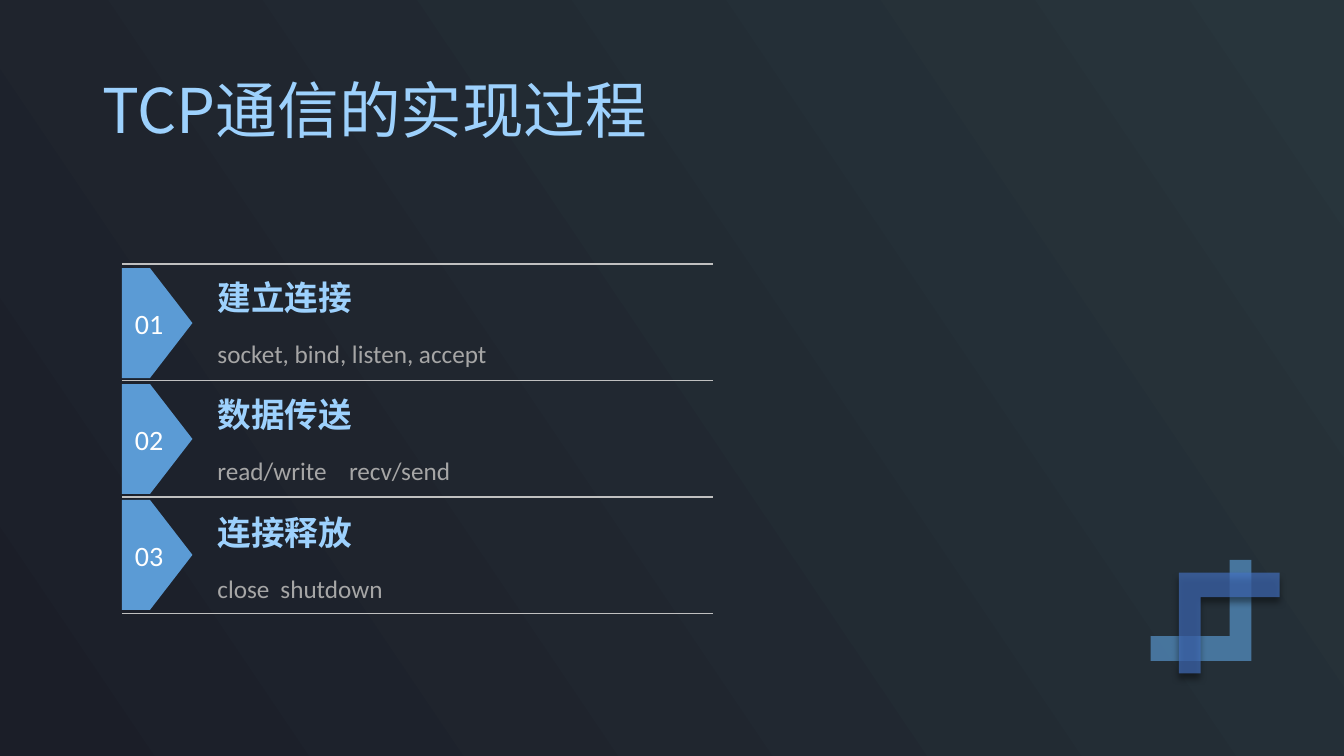
from lxml import etree
from pptx import Presentation
from pptx import util as u
from pptx.dml.color import RGBColor
from pptx.enum import shapes, text
from pptx.oxml.ns import qn

COLORS = {
    "night": "1B1E28", "slate": "28353C", "sky": "9DD1FD", "blue": "5B9BD5",
    "indigo": "4472C4", "rule": "C0C0C0", "grey": "A6A6A6",
    "white": "FFFFFF", "black": "000000",
}
CJK, LATIN = "Noto Sans CJK SC", "Calibri"

# number, heading, functions, tab stop between functions
STEPS = [
    ("01", "建立连接", "socket, bind, listen, accept", None),
    ("02", "数据传送", "read/write\trecv/send", 94),
    ("03", "连接释放", "close\tshutdown", 45),
]


def rgb(name):
    return RGBColor.from_string(COLORS[name])


def add_xml(parent, tag, **attributes):
    return etree.SubElement(parent, qn(tag), {k: str(v) for k, v in attributes.items()})


def write(shape, content, size, color, font=LATIN, bold=False, align=None,
          insets=(0, 0, 0, 0), spacing=None, tab=None):
    frame = shape.text_frame
    frame.word_wrap = True
    frame.vertical_anchor = text.MSO_ANCHOR.MIDDLE
    (frame.margin_left, frame.margin_top,
     frame.margin_right, frame.margin_bottom) = [u.Pt(inset) for inset in insets]
    paragraph = frame.paragraphs[0]
    paragraph.alignment = align
    paragraph.line_spacing = spacing
    if tab:
        stops = add_xml(paragraph._p.get_or_add_pPr(), "a:tabLst")
        add_xml(stops, "a:tab", pos=u.Pt(tab), algn="l")
    run = paragraph.add_run()
    run.text = content
    run.font.size = u.Pt(size)
    run.font.bold = bold
    run.font.name = font
    run.font.color.rgb = rgb(color)
    add_xml(run._r.get_or_add_rPr(), "a:ea", typeface=font)


class Deck:
    """Holds the presentation, its style and the current slide."""

    def __init__(self):
        self.presentation = Presentation()
        self.presentation.slide_width = u.Pt(960)
        self.presentation.slide_height = u.Pt(540)
        self.slide = self.presentation.slides.add_slide(self.presentation.slide_layouts[6])

    def background(self, start, end, angle):
        fill = self.slide.background.fill
        fill.gradient()
        fill.gradient_angle = angle
        for stop, color, position in zip(fill.gradient_stops, (start, end), (0, 1)):
            stop.color.rgb = rgb(color)
            stop.position = position

    def text_box(self, left, top, width, height, content, **style):
        box = self.slide.shapes.add_textbox(*map(u.Pt, (left, top, width, height)))
        write(box, content, **style)

    def rule(self, left, right, y):
        line = self.slide.shapes.add_connector(
            shapes.MSO_CONNECTOR.STRAIGHT, u.Pt(left), u.Pt(y), u.Pt(right), u.Pt(y))
        line.line.color.rgb = rgb("rule")
        line.line.width = u.Pt(1)
        add_xml(line._element.spPr, "a:effectLst")

    def tag(self, left, top, content):
        """Draw a numbered tag that points right."""
        width, height, shoulder = 50.5, 78.5, 20.2
        builder = self.slide.shapes.build_freeform(u.Pt(left), u.Pt(top))
        points = [(shoulder, 0), (width, height / 2), (shoulder, height), (0, height)]
        builder.add_line_segments([(u.Pt(left + x), u.Pt(top + y)) for x, y in points])
        shape = builder.convert_to_shape()
        self.paint(shape, "blue")
        write(shape, content, size=20, color="white",
              align=text.PP_ALIGN.CENTER, insets=(0, 0, 11.5, 0))

    def bracket(self, left, top, color, rotation=0, shadow=False):
        """Draw a mirrored, translucent L shape."""
        shape = self.slide.shapes.add_shape(
            shapes.MSO_SHAPE.RECTANGLE, u.Pt(left), u.Pt(top), u.Pt(72), u.Pt(72))
        shape.rotation = rotation
        properties = shape._element.spPr
        properties.find(qn("a:xfrm")).set("flipH", "1")
        # The L preset has no member in MSO_SHAPE, so it is set by its preset name.
        geometry = properties.find(qn("a:prstGeom"))
        geometry.set("prst", "corner")
        for name, value in (("adj1", 24300), ("adj2", 21700)):
            add_xml(geometry.find(qn("a:avLst")), "a:gd", name=name, fmla=f"val {value}")
        self.paint(shape, color)
        add_xml(properties.find(f"{qn('a:solidFill')}/{qn('a:srgbClr')}"), "a:alpha", val=65000)
        if shadow:
            outer = add_xml(properties.find(qn("a:effectLst")), "a:outerShdw", blurRad=u.Pt(5),
                            dist=u.Pt(4), dir=90 * 60000, algn="ctr", rotWithShape=0)
            add_xml(add_xml(outer, "a:srgbClr", val=COLORS["black"]), "a:alpha", val=63000)

    def paint(self, shape, color):
        shape.shadow.inherit = False
        shape.fill.solid()
        shape.fill.fore_color.rgb = rgb(color)
        shape.line.fill.background()


def main():
    deck = Deck()
    deck.background("night", "slate", angle=34)
    deck.bracket(822, 400, "blue")
    deck.bracket(842, 409, "indigo", rotation=180, shadow=True)
    deck.text_box(66, 28.8, 828, 104.4, "TCP通信的实现过程", size=44, color="sky",
                  font=CJK, insets=(7.2, 3.6, 7.2, 3.6), spacing=0.9)

    left, right, text_left, text_width = 87, 509.5, 155.3, 330.5
    for index in range(len(STEPS) + 1):
        deck.rule(left, right, 188.6 + 83.25 * index)
    for index, (number, heading, functions, tab) in enumerate(STEPS):
        text_top = 191.8 + 84.1 * index
        deck.text_box(text_left, text_top + 40.6, text_width, 39.6, functions, size=18,
                      color="grey", align=text.PP_ALIGN.JUSTIFY, tab=tab)
        deck.text_box(text_left, text_top, text_width, 40.3, heading, size=24,
                      color="sky", font=CJK, bold=True, insets=(0, 3.6, 0, 3.6))
        deck.tag(left, 191.5 + 82.8 * index, number)

    deck.presentation.save("out.pptx")


if __name__ == "__main__":
    main()
